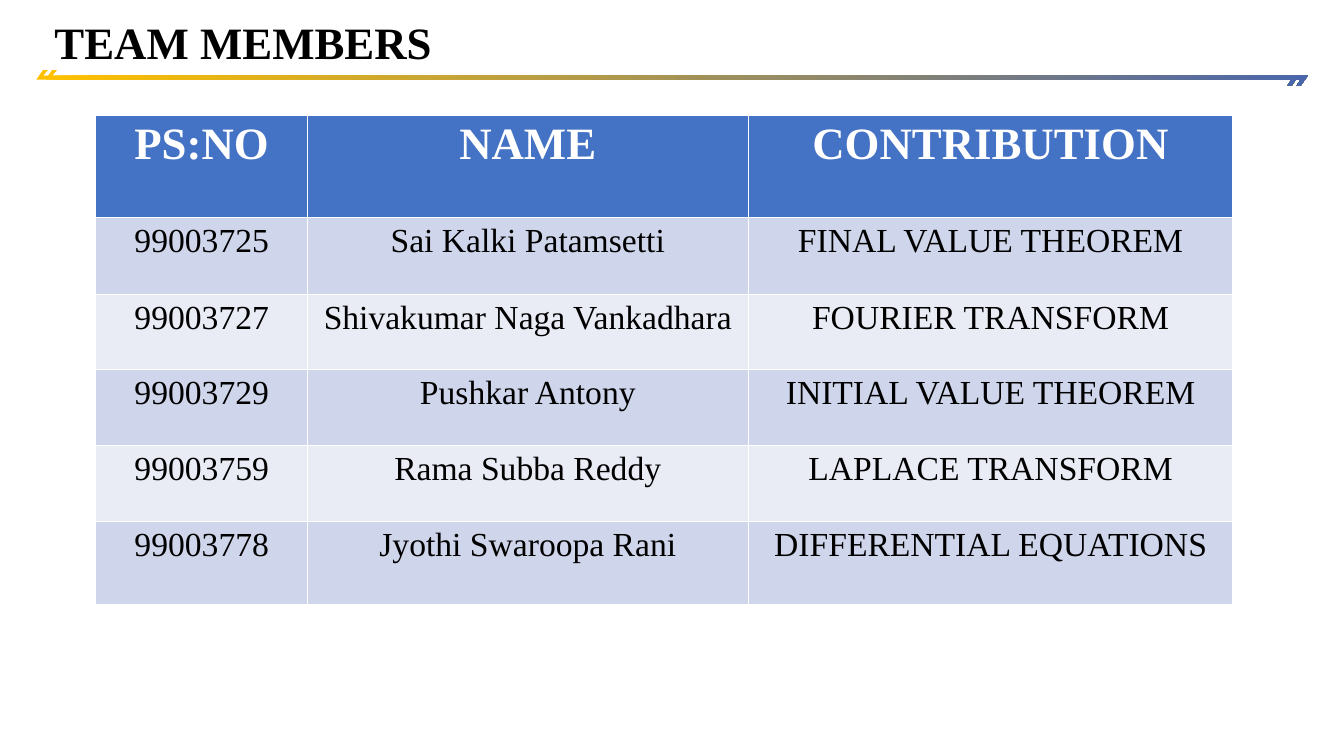
"""Build the team members slide: a title, a two-part rule and a table."""
from pptx import Presentation
from pptx.dml.color import RGBColor
from pptx.enum.text import MSO_ANCHOR, PP_ALIGN
from pptx.util import Pt

LEFT, CENTER = PP_ALIGN.LEFT, PP_ALIGN.CENTER
BOTTOM = MSO_ANCHOR.BOTTOM
FONT = "Times New Roman"
PX = 9144
RULE_OUTLINE = [(43, 69), (48, 69), (43, 75), (1288, 75), (1281, 85),
                (1277, 85), (1281, 79), (36, 79)]
RULE_OFFSET = 9
COL_WIDTHS = [210, 437, 481]
ROW_HEIGHTS = [102, 76, 75, 75, 75, 83]
HEADER_FILL = "4472C4"
BAND_FILLS = ["E9EBF5", "CFD5EA"]
MEMBERS = [
    ("PS:NO", "NAME", "CONTRIBUTION"),
    ("99003725", "Sai Kalki Patamsetti", "FINAL VALUE THEOREM"),
    ("99003727", "Shivakumar Naga Vankadhara", "FOURIER TRANSFORM"),
    ("99003729", "Pushkar Antony", "INITIAL VALUE THEOREM"),
    ("99003759", "Rama Subba Reddy", "LAPLACE TRANSFORM"),
    ("99003778", "Jyothi Swaroopa Rani", "DIFFERENTIAL EQUATIONS"),
]


def px(n):
    """Turn pixels into EMU."""
    return n * PX


def rgb(value):
    """Turn a hex string into a colour."""
    return RGBColor.from_string(value)


def style_text(p, size, color, bold, align):
    """Format one paragraph."""
    p.alignment = align
    p.font.name = FONT
    p.font.size = Pt(size)
    p.font.bold = bold
    p.font.color.rgb = rgb(color)


def set_title(s, text):
    """Place and format the slide title."""
    sp = s.shapes.title
    sp.left, sp.top, sp.width, sp.height = px(44), px(0), px(1244), px(74)
    tf = sp.text_frame
    tf.text = text
    tf.vertical_anchor = BOTTOM
    p = tf.paragraphs[0]
    p.line_spacing = 0.9
    style_text(p, 32, "000000", True, LEFT)


def add_rule(s, dx):
    """Draw one ticked gradient rule, shifted right by dx."""
    points = [(x + dx, y) for x, y in RULE_OUTLINE]
    builder = s.shapes.build_freeform(*points[0], scale=PX)
    builder.add_line_segments(points[1:], close=True)
    sp = builder.convert_to_shape()
    sp.shadow.inherit = False
    sp.line.fill.background()
    sp.fill.gradient()
    sp.fill.gradient_angle = 0
    for stop, color in zip(sp.fill.gradient_stops, ("FFC000", "4A66AC")):
        stop.color.rgb = rgb(color)


def fill_cell(cell, text, is_header, fill):
    """Write and colour one table cell."""
    cell.text = text
    cell.fill.solid()
    cell.fill.fore_color.rgb = rgb(fill)
    size, color = (32, "FFFFFF") if is_header else (24, "000000")
    style_text(cell.text_frame.paragraphs[0], size, color, is_header, CENTER)


def add_member_table(s):
    """Add the table of members with banded rows."""
    table = s.shapes.add_table(
        len(MEMBERS), len(COL_WIDTHS), px(95), px(114),
        px(sum(COL_WIDTHS)), px(sum(ROW_HEIGHTS))).table
    for col, width in zip(table.columns, COL_WIDTHS):
        col.width = px(width)
    for i, (member, height) in enumerate(zip(MEMBERS, ROW_HEIGHTS)):
        table.rows[i].height = px(height)
        fill = BAND_FILLS[i % 2] if i else HEADER_FILL
        for cell, text in zip(table.rows[i].cells, member):
            fill_cell(cell, text, i == 0, fill)


def main():
    """Build and save the slide."""
    prs = Presentation()
    prs.slide_width, prs.slide_height = px(1333), px(750)
    s = prs.slides.add_slide(prs.slide_layouts[5])
    for dx in (0, RULE_OFFSET):
        add_rule(s, dx)
    set_title(s, "TEAM MEMBERS")
    add_member_table(s)
    prs.save("out.pptx")


if __name__ == "__main__":
    main()
